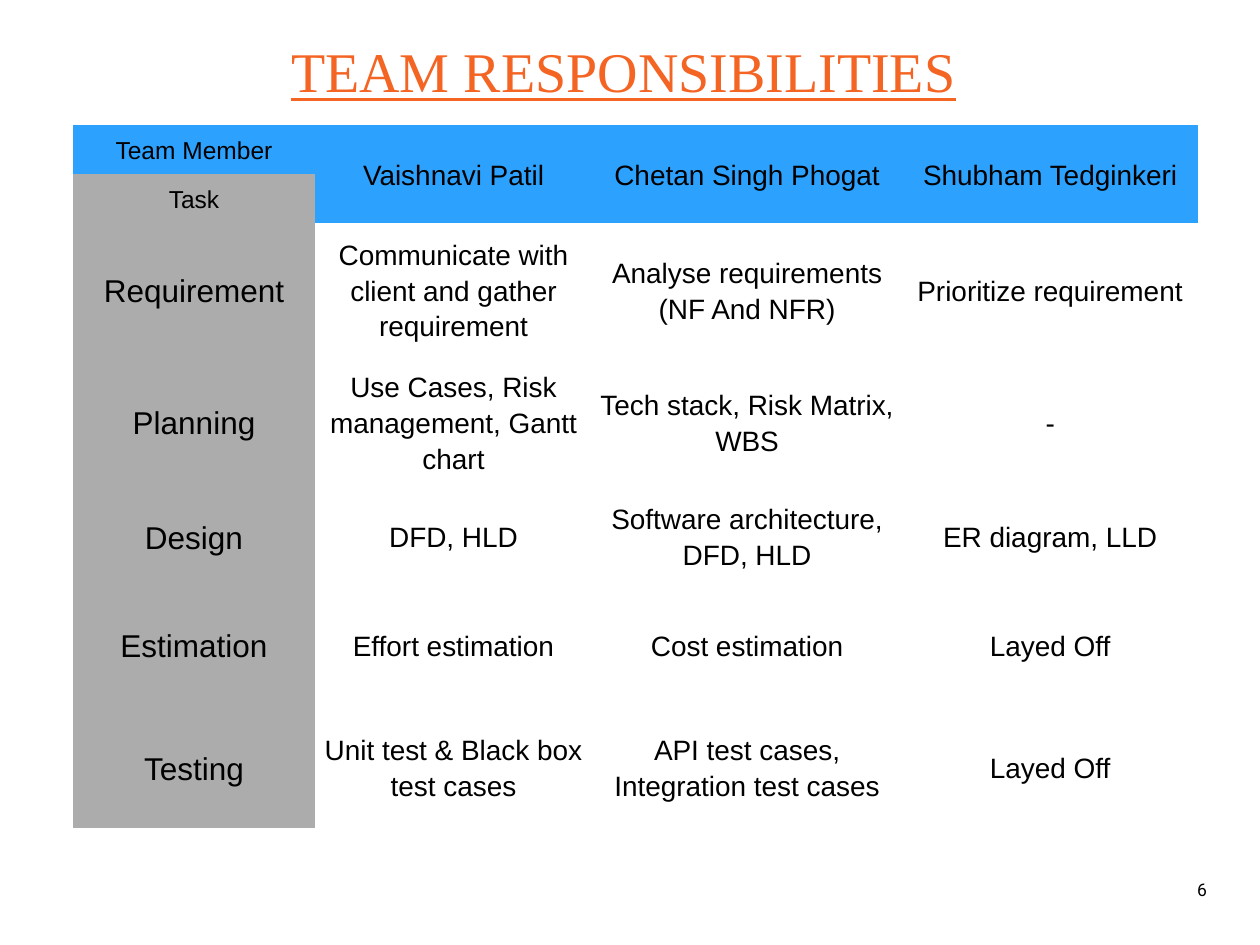
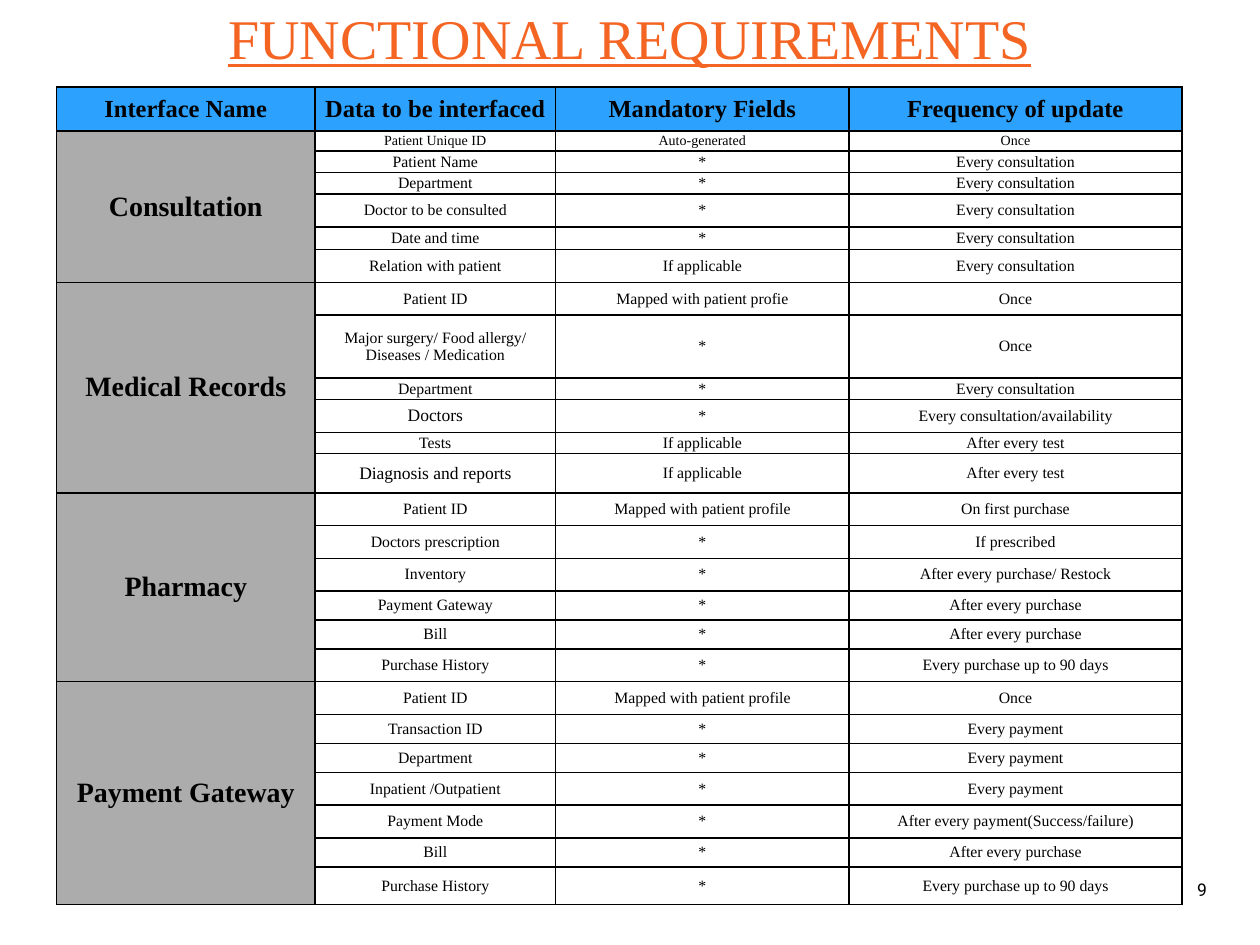
from lxml import etree
from pptx import Presentation
from pptx import util as u
from pptx.dml.color import RGBColor
from pptx.enum import text
from pptx.oxml.ns import qn

THEME = {
    "accent": "F46524", "header": "2CA1FE", "label": "ACACAC", "ink": "000000",
    "serif": "Times New Roman", "sans": "Arial", "number_font": "Roboto",
    "title_size": 32, "number_size": 10, "border_width": 1,
    "plain_table": "{2D5ABB26-0587-4C30-8999-92F81FD0307C}",
}


def write_text(frame, words, spacing=1.0, color=THEME["ink"], **font):
    """Fill a frame with centred paragraphs, one for each line of words."""
    frame.word_wrap = True
    for index, line in enumerate(words.split("\n")):
        para = frame.paragraphs[0] if index == 0 else frame.add_paragraph()
        para.alignment = text.PP_ALIGN.CENTER
        para.line_spacing = spacing
        span = para.add_run()
        span.text = line
        span.font.color.rgb = RGBColor.from_string(color)
        for name, value in font.items():
            setattr(span.font, name, value)


def add_borders(cell):
    properties = cell._tc.get_or_add_tcPr()
    for index, side in enumerate(("lnL", "lnR", "lnT", "lnB")):
        line = etree.Element(qn(f"a:{side}"), w=str(u.Pt(THEME["border_width"])))
        fill = etree.SubElement(line, qn("a:solidFill"))
        etree.SubElement(fill, qn("a:srgbClr"), val=THEME["ink"])
        properties.insert(index, line)


# A None cell belongs to the merged cell above it.
team_rows = [
    ["Team Member", "Vaishnavi Patil", "Chetan Singh Phogat", "Shubham Tedginkeri"],
    ["Task", None, None, None],
    ["Requirement", "Communicate with client and gather requirement",
     "Analyse requirements\n(NF And NFR)", "Prioritize requirement"],
    ["Planning", "Use Cases, Risk management, Gantt chart",
     "Tech stack, Risk Matrix, WBS", "-"],
    ["Design", "DFD, HLD", "Software architecture, DFD, HLD", "ER diagram, LLD"],
    ["Estimation", "Effort estimation", "Cost estimation", "Layed Off"],
    ["Testing", "Unit test & Black box test cases",
     "API test cases, Integration test cases", "Layed Off"],
]

interfaces = {
    "Consultation": [
        ("Patient Unique ID", "Auto-generated", "Once"),
        ("Patient Name", "*", "Every consultation"),
        ("Department", "*", "Every consultation"),
        ("Doctor to be consulted", "*", "Every consultation"),
        ("Date and time", "*", "Every consultation"),
        ("Relation with patient", "If applicable", "Every consultation"),
    ],
    "Medical Records": [
        ("Patient ID", "Mapped with patient profie", "Once"),
        ("Major surgery/ Food allergy/ Diseases / Medication", "*", "Once"),
        ("Department", "*", "Every consultation"),
        ("Doctors", "*", "Every consultation/availability"),
        ("Tests", "If applicable", "After every test"),
        ("Diagnosis and reports", "If applicable", "After every test"),
    ],
    "Pharmacy": [
        ("Patient ID", "Mapped with patient profile", "On first purchase"),
        ("Doctors prescription", "*", "If prescribed"),
        ("Inventory", "*", "After every purchase/ Restock"),
        ("Payment Gateway", "*", "After every purchase"),
        ("Bill", "*", "After every purchase"),
        ("Purchase History", "*", "Every purchase up to 90 days"),
    ],
    "Payment Gateway": [
        ("Patient ID", "Mapped with patient profile", "Once"),
        ("Transaction ID", "*", "Every payment"),
        ("Department", "*", "Every payment"),
        ("Inpatient /Outpatient", "*", "Every payment"),
        ("Payment Mode", "*", "After every payment(Success/failure)"),
        ("Bill", "*", "After every purchase"),
        ("Purchase History", "*", "Every purchase up to 90 days"),
    ],
}
interface_rows = [["Interface Name", "Data to be interfaced",
                   "Mandatory Fields", "Frequency of update"]]
for interface, fields in interfaces.items():
    for index, field in enumerate(fields):
        interface_rows.append([interface if index == 0 else None, *field])

pages = [
    {
        "title": "TEAM RESPONSIBILITIES", "title_at": (0.7, -0.32), "title_spacing": 1.0,
        "number": "6", "rows": team_rows, "table_at": (0.58, 0.99),
        "widths": [1.92, 2.2, 2.46, 2.35],
        "heights": [0.39, 0.39, 1.05, 1.05, 0.76, 0.97, 0.97],
        "font": THEME["sans"], "bold_heads": False, "borders": False,
        "margins": (0.03, 0.02), "spacing": 1.15,
        "sizes": {"header": 16, "label": 18, "body": 16},
        "special_sizes": {(0, 0): 14, (1, 0): 14},
    },
    {
        "title": "FUNCTIONAL REQUIREMENTS", "title_at": (0.75, -0.55), "title_spacing": 0.9,
        "number": "9", "rows": interface_rows, "table_at": (0.45, 0.69),
        "widths": [2.05, 1.91, 2.33, 2.64],
        "heights": [0.35,
                    0.16, 0.16, 0.16, 0.26, 0.18, 0.26,
                    0.26, 0.5, 0.15, 0.26, 0.15, 0.31,
                    0.26, 0.26, 0.26, 0.23, 0.23, 0.26,
                    0.26, 0.23, 0.23, 0.26, 0.26, 0.23, 0.3],
        "font": THEME["serif"], "bold_heads": True, "borders": True,
        "margins": (0.01, 0.01), "spacing": 1.0,
        "sizes": {"header": 14, "label": 16, "body": 9},
        "special_sizes": {(1, 1): 8, (1, 2): 8, (1, 3): 8, (10, 1): 10, (12, 1): 10},
    },
]

deck = Presentation()
deck.slide_width, deck.slide_height = u.Inches(10), u.Inches(7.5)

for plan in pages:
    page = deck.slides.add_slide(deck.slide_layouts[6])

    left, top = plan["title_at"]
    box = page.shapes.add_textbox(*map(u.Inches, (left, top, 8.5, 1.76)))
    box.text_frame.vertical_anchor = text.MSO_ANCHOR.MIDDLE
    write_text(box.text_frame, plan["title"], plan["title_spacing"], THEME["accent"],
               name=THEME["serif"], size=u.Pt(THEME["title_size"]), underline=True)

    box = page.shapes.add_textbox(*map(u.Inches, (9.28, 6.86, 0.52, 0.4)))
    box.text_frame.vertical_anchor = text.MSO_ANCHOR.MIDDLE
    write_text(box.text_frame, plan["number"],
               name=THEME["number_font"], size=u.Pt(THEME["number_size"]))

    rows, widths, heights = plan["rows"], plan["widths"], plan["heights"]
    place = (*plan["table_at"], sum(widths), sum(heights))
    table = page.shapes.add_table(len(rows), len(widths), *map(u.Inches, place)).table
    table.first_row = table.horz_banding = False
    table._tbl.tblPr.find(qn("a:tableStyleId")).text = THEME["plain_table"]
    for column, width in zip(table.columns, widths):
        column.width = u.Inches(width)
    for row, height in zip(table.rows, heights):
        row.height = u.Inches(height)

    side, edge = map(u.Inches, plan["margins"])
    cell_format = {"margin_left": side, "margin_right": side, "margin_top": edge,
                   "margin_bottom": edge, "vertical_anchor": text.MSO_ANCHOR.MIDDLE}
    for r, row in enumerate(rows):
        for c, words in enumerate(row):
            cell = table.cell(r, c)
            for name, value in cell_format.items():
                setattr(cell, name, value)
            role = "header" if r == 0 else "label" if c == 0 else "body"
            if role == "body":
                cell.fill.background()
            else:
                cell.fill.solid()
                cell.fill.fore_color.rgb = RGBColor.from_string(THEME[role])
            if plan["borders"]:
                add_borders(cell)
            if words is None:
                continue
            size = plan["special_sizes"].get((r, c), plan["sizes"][role])
            write_text(cell.text_frame, words, plan["spacing"], name=plan["font"],
                       size=u.Pt(size), bold=plan["bold_heads"] and role != "body")
            last = r
            while last + 1 < len(rows) and rows[last + 1][c] is None:
                last += 1
            if last > r:
                cell.merge(table.cell(last, c))

deck.save("out.pptx")
